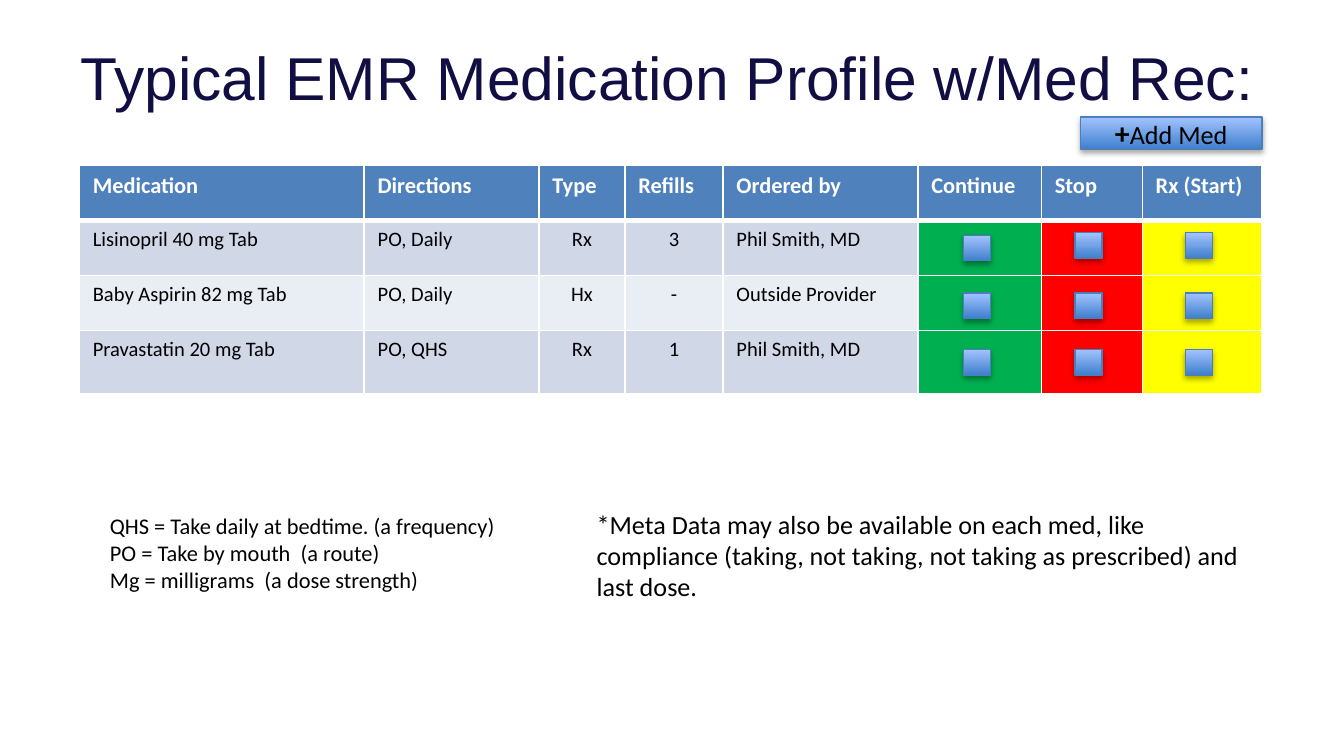
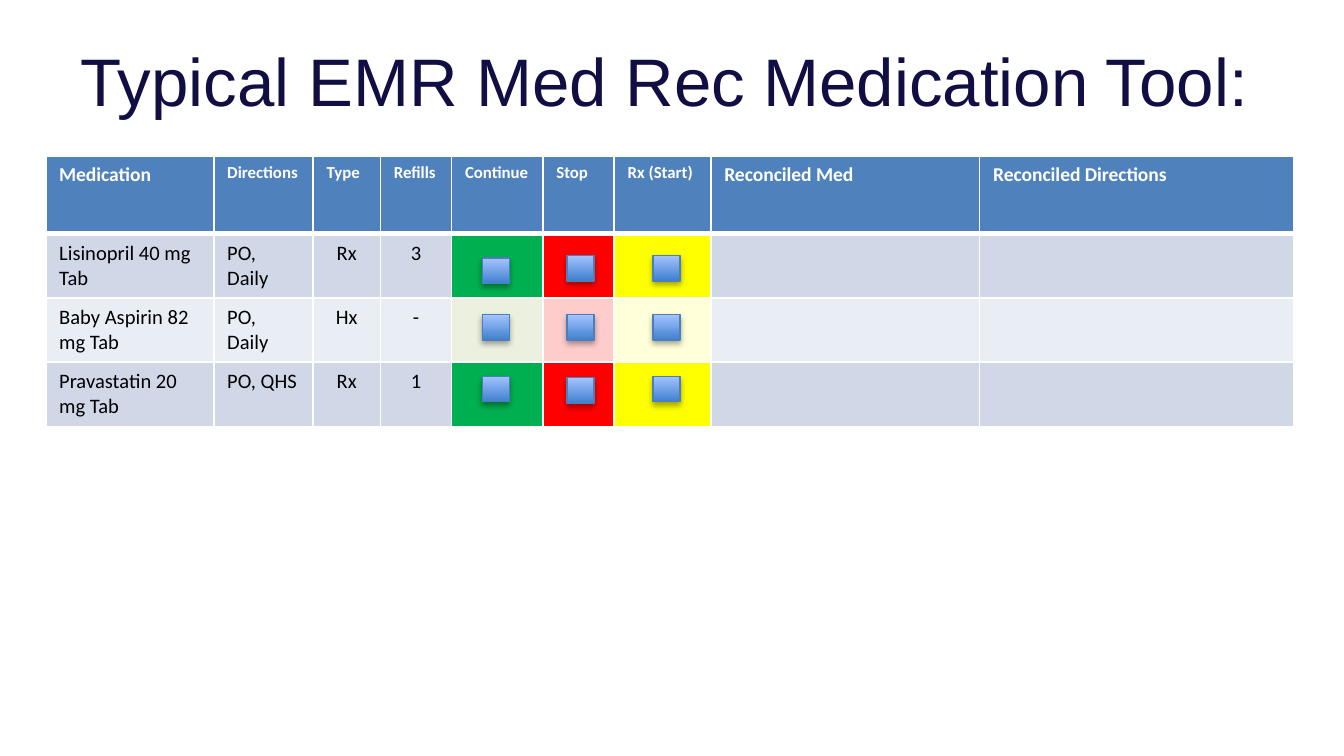
from dataclasses import dataclass

from lxml import etree
from pptx import Presentation
from pptx import util as u
from pptx.dml.color import RGBColor
from pptx.enum import shapes, text
from pptx.oxml import parse_xml
from pptx.oxml.ns import nsdecls, qn


@dataclass(frozen=True)
class Theme:
    title_font: str = "Arial"
    body_font: str = "Calibri"
    title: str = "100E42"
    ink: str = "000000"
    white: str = "FFFFFF"
    header: str = "4F81BD"
    bands: tuple = ("D0D8E8", "E9EDF4")
    actions: tuple = ("00B050", "FF0000", "FFFF00")
    button_low: str = "3F80CE"
    button_high: str = "A4C4FF"
    button_line: str = "4B7EBC"
    cell_size: float = 11
    legend_size: float = 12
    note_size: float = 14
    plus_size: float = 16


theme = Theme()


def style(paragraph, size, color=theme.ink, bold=False, font=theme.body_font):
    for run in paragraph.runs:
        run.font.name = font
        run.font.size = u.Pt(size)
        run.font.bold = bold
        run.font.color.rgb = RGBColor.from_string(color)


def add_button(slide, left, top, width, height):
    button = slide.shapes.add_shape(
        shapes.MSO_SHAPE.RECTANGLE,
        u.Inches(left), u.Inches(top), u.Inches(width), u.Inches(height))
    button.fill.gradient()
    button.fill.gradient_angle = 90
    gradient = ((0, theme.button_low), (1, theme.button_high))
    for stop, (position, color) in zip(button.fill.gradient_stops, gradient):
        stop.position = position
        stop.color.rgb = RGBColor.from_string(color)
    button.line.color.rgb = RGBColor.from_string(theme.button_line)
    button.line.width = u.Pt(0.75)
    button.shadow.inherit = False
    button._element.spPr.find(qn("a:effectLst")).append(parse_xml(
        f'<a:outerShdw {nsdecls("a")} blurRad="40000" dist="23000" dir="5400000" '
        'rotWithShape="0"><a:srgbClr val="000000"><a:alpha val="35000"/>'
        '</a:srgbClr></a:outerShdw>'))
    return button


# Content: fills are (colour, opacity in percent)
solid_actions = [(color, 100) for color in theme.actions]
pale_actions = [("EBF1DE", 100), ("FF0000", 20), ("FFFF00", 15)]
medications = [
    ["Lisinopril 40 mg Tab", "PO, Daily", "Rx", "3"],
    ["Baby Aspirin 82 mg Tab", "PO, Daily", "Hx", "-"],
    ["Pravastatin 20 mg Tab", "PO, QHS", "Rx", "1"],
]
prescribers = ["Phil Smith, MD", "Outside Provider", "Phil Smith, MD"]
profile_columns = ["Medication", "Directions", "Type", "Refills"]
action_columns = ["Continue", "Stop", "Rx (Start)"]

pages = [
    dict(
        title="Typical EMR Medication Profile w/Med Rec:", title_size=32.4,
        frame=(0.59, 1.23, 8.8, 1.68),
        widths=[2.12, 1.3, 0.64, 0.73, 1.45, 0.92, 0.75, 0.89],
        heights=[0.41, 0.41, 0.41, 0.47],
        header=profile_columns + ["Ordered by"] + action_columns,
        header_sizes=[12] * 8,
        rows=[med + [by] + [""] * 3 for med, by in zip(medications, prescribers)],
        first_action=5, action_fills=[solid_actions] * 3,
        box_lefts=[7.17, 8, 8.82],
        box_tops=[[1.75, 1.73, 1.73], [2.18] * 3, [2.6] * 3],
    ),
    dict(
        title="Typical EMR Med Rec Medication Tool:", title_size=36,
        frame=(0.34, 1.16, 9.29, 1.98),
        widths=[1.25, 0.74, 0.5, 0.53, 0.68, 0.53, 0.72, 2, 2.34],
        heights=[0.58, 0.47, 0.47, 0.47],
        header=profile_columns + action_columns
        + ["Reconciled Med", "Reconciled Directions"],
        header_sizes=[10.5] + [9] * 6 + [10.5] * 2,
        rows=[med + [""] * 5 for med in medications],
        first_action=4, action_fills=[solid_actions, pale_actions, solid_actions],
        box_lefts=[3.59, 4.22, 4.86],
        box_tops=[[1.92, 1.9, 1.9], [2.34] * 3, [2.8, 2.81, 2.8]],
    ),
]

# Widescreen 16:9
deck = Presentation()
deck.slide_width = u.Inches(10)
deck.slide_height = deck.slide_width * 9 // 16

for page in pages:
    slide = deck.slides.add_slide(deck.slide_layouts[5])

    # Title
    title = slide.shapes.title
    title.left, title.top = u.Inches(0.5), u.Inches(0.31)
    title.width, title.height = u.Inches(9), u.Inches(0.85)
    title.text_frame.text = page["title"]
    title.text_frame.auto_size = text.MSO_AUTO_SIZE.NONE
    title.text_frame.vertical_anchor = text.MSO_ANCHOR.TOP
    heading = title.text_frame.paragraphs[0]
    heading.alignment = text.PP_ALIGN.LEFT
    heading.line_spacing = 0.9
    style(heading, page["title_size"], theme.title, font=theme.title_font)

    # Medication table
    lines = [page["header"]] + page["rows"]
    frame = slide.shapes.add_table(
        len(lines), len(page["header"]), *map(u.Inches, page["frame"]))
    grid = frame.table
    for column, width in zip(grid.columns, page["widths"]):
        column.width = u.Inches(width)
    for r, line in enumerate(lines):
        grid.rows[r].height = u.Inches(page["heights"][r])
        for c, words in enumerate(line):
            cell = grid.cell(r, c)
            cell.text_frame.text = words
            entry = cell.text_frame.paragraphs[0]
            action = c - page["first_action"]
            opacity = 100
            if r == 0:
                style(entry, page["header_sizes"][c], theme.white, bold=True)
                color = theme.header
            else:
                style(entry, theme.cell_size)
                if c in (2, 3):
                    entry.alignment = text.PP_ALIGN.CENTER
                color = theme.bands[(r - 1) % 2]
                if 0 <= action < 3:
                    color, opacity = page["action_fills"][r - 1][action]

            # Borders come before the fill in the cell properties
            properties = cell._tc.get_or_add_tcPr()
            for side in "LRTB":
                thick = (r == 0 and side == "B") or (r == 1 and side == "T")
                properties.append(parse_xml(
                    f'<a:ln{side} {nsdecls("a")} w="{u.Pt(3 if thick else 1)}">'
                    f'<a:solidFill><a:srgbClr val="{theme.white}"/></a:solidFill>'
                    f'</a:ln{side}>'))
            cell.fill.solid()
            cell.fill.fore_color.rgb = RGBColor.from_string(color)
            if opacity < 100:
                shade = properties.find(qn("a:solidFill")).find(qn("a:srgbClr"))
                etree.SubElement(shade, qn("a:alpha")).set("val", str(opacity * 1000))

    # Check boxes over the action columns
    for tops in page["box_tops"]:
        for left, top in zip(page["box_lefts"], tops):
            add_button(slide, left, top, 0.2, 0.19)

# Add button on the profile slide
profile = deck.slides[0]
add_med = add_button(profile, 8.04, 0.87, 1.35, 0.24)
add_med.text_frame.vertical_anchor = text.MSO_ANCHOR.MIDDLE
label = add_med.text_frame.paragraphs[0]
label.alignment = text.PP_ALIGN.CENTER
for words in ("+", "Add Med"):
    label.add_run().text = words
style(label, theme.note_size)
label.runs[0].font.size = u.Pt(theme.plus_size)
label.runs[0].font.bold = True

# Legend and note on the profile slide
legend = ("QHS = Take daily at bedtime. (a frequency)\n"
          "PO = Take by mouth  (a route)\n"
          "Mg = milligrams  (a dose strength)")
note = ("*Meta Data may also be available on each med, like compliance "
        "(taking, not taking, not taking as prescribed) and last dose.")
for words, size, place in (
        (legend, theme.legend_size, (0.72, 3.76, 8.06, 1.01)),
        (note, theme.note_size, (4.34, 3.73, 5.05, 0.81))):
    remark = profile.shapes.add_textbox(*map(u.Inches, place)).text_frame
    remark.word_wrap = True
    remark.auto_size = text.MSO_AUTO_SIZE.SHAPE_TO_FIT_TEXT
    remark.text = words
    for paragraph in remark.paragraphs:
        style(paragraph, size)

deck.save("out.pptx")
